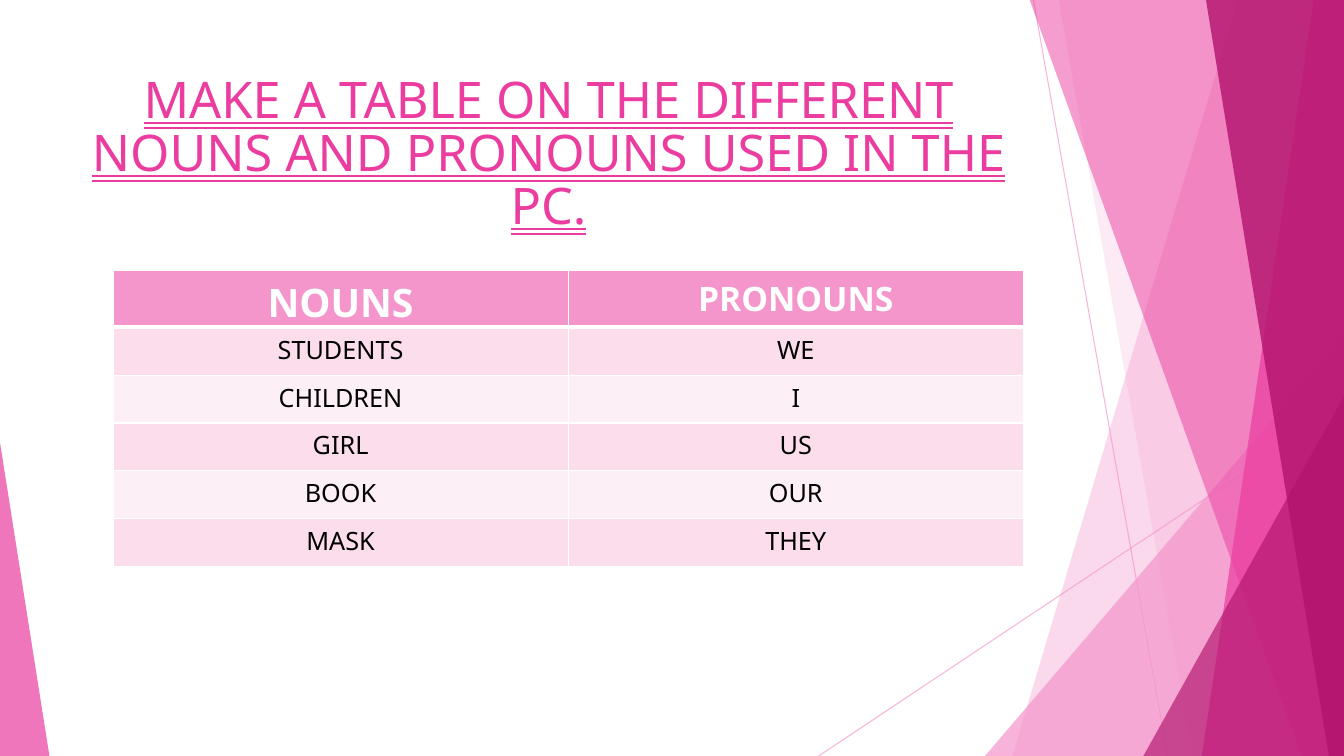
from pptx import Presentation
from pptx.dml.color import RGBColor
from pptx.enum.shapes import MSO_CONNECTOR, MSO_SHAPE
from pptx.enum.text import MSO_ANCHOR, MSO_UNDERLINE, PP_ALIGN
from pptx.oxml import parse_xml
from pptx.oxml.ns import nsdecls, qn
from pptx.util import Inches, Pt

LINE = MSO_CONNECTOR.STRAIGHT
TRIANGLE = MSO_SHAPE.ISOSCELES_TRIANGLE
TOP = MSO_ANCHOR.TOP
DOUBLE = MSO_UNDERLINE.DOUBLE_LINE
CENTER = PP_ALIGN.CENTER

WIDE, HIGH = 13.33, 7.5
FONT = "Noto Sans"
PINK, ROSE, WINE = "F496CB", "EB3D9F", "B2136D"
PALE, FAINT = "FBDDEC", "FDEFF6"
WHITE, BLACK = "FFFFFF", "000000"


def color(code):
    return RGBColor.from_string(code)


def fade(shape, alpha):
    for node in shape._element.spPr.iter(qn("a:srgbClr")):
        node.append(parse_xml(f'<a:alpha {nsdecls("a")} val="{alpha * 1000}"/>'))


class Painter:
    """Draws styled elements on one slide."""

    def __init__(self, slide, font):
        self.shapes = slide.shapes
        self.font = font

    def line(self, start, end, code, alpha):
        line = self.shapes.add_connector(LINE, *map(Inches, start + end))
        line.line.color.rgb = color(code)
        line.line.width = Pt(0.75)
        fade(line, alpha)
        line._element.spPr.append(parse_xml(f'<a:effectLst {nsdecls("a")}/>'))

    def paint(self, shape, code, alpha):
        shape.shadow.inherit = False
        shape.fill.solid()
        shape.fill.fore_color.rgb = color(code)
        shape.line.fill.background()
        fade(shape, alpha)

    def panel(self, top, base, code, alpha):
        pen = self.shapes.build_freeform(Inches(top), Inches(-0.01))
        spots = [(WIDE, -0.01), (WIDE, HIGH), (base, HIGH)]
        pen.add_line_segments([(Inches(x), Inches(y)) for x, y in spots])
        self.paint(pen.convert_to_shape(), code, alpha)

    def wedge(self, left, top, width, peak, code, alpha):
        box = map(Inches, (left, top, width, HIGH - top))
        shape = self.shapes.add_shape(TRIANGLE, *box)
        shape.adjustments[0] = peak
        self.paint(shape, code, alpha)

    def label(self, frame, text, size, code, bold=False):
        para = frame.paragraphs[0]
        para.alignment = CENTER
        run = para.add_run()
        run.text = text
        run.font.name = self.font
        run.font.size = Pt(size)
        run.font.bold = bold
        run.font.color.rgb = color(code)
        return para, run

    def title(self, box, text):
        frame = self.shapes.add_textbox(*map(Inches, box)).text_frame
        frame.word_wrap = True
        frame.vertical_anchor = TOP
        frame.margin_top = Inches(0.08)
        para, run = self.label(frame, text, 36, ROSE)
        para.line_spacing = 0.88
        run.font.underline = DOUBLE

    def edge(self, cell, widths):
        props = cell._tc.get_or_add_tcPr()
        for spot, (side, width) in enumerate(zip("LRTB", widths)):
            props.insert(spot, parse_xml(
                f'<a:ln{side} {nsdecls("a")} w="{Pt(width)}"><a:solidFill>'
                f'<a:srgbClr val="{WHITE}"/></a:solidFill></a:ln{side}>'))

    def table(self, box, rows, sizes):
        frame = self.shapes.add_table(len(rows), len(rows[0]), *map(Inches, box))
        table = frame.table
        table.horz_banding = False
        for r, row in enumerate(rows):
            head = r == 0
            shade = PINK if head else PALE if r % 2 else FAINT
            widths = (1, 1, 3 if r == 1 else 1, 3 if head else 1)
            for c, text in enumerate(row):
                cell = table.cell(r, c)
                cell.fill.solid()
                cell.fill.fore_color.rgb = color(shade)
                self.edge(cell, widths)
                size, ink = (sizes[c], WHITE) if head else (18, BLACK)
                self.label(cell.text_frame, text, size, ink, head)


deck = Presentation()
deck.slide_width, deck.slide_height = Inches(WIDE), Inches(HIGH)
art = Painter(deck.slides.add_slide(deck.slide_layouts[6]), FONT)

art.line((10.25, 0), (11.58, HIGH), PINK, 70)
art.line((WIDE, 4.03), (8.12, HIGH), PINK, 70)
art.panel(12.28, 10.04, PINK, 36)
art.panel(10.5, 11.83, PINK, 20)
art.wedge(9.77, 3.33, 3.56, 1, PINK, 72)
art.panel(10.21, 12.91, ROSE, 50)
art.panel(13.03, 11.92, ROSE, 70)
art.panel(11.96, 13.18, WINE, 80)
art.wedge(11.34, 3.93, 1.99, 1, WINE, 66)
art.wedge(0, 4.39, 0.49, 0, ROSE, 70)

art.title((0.74, 0.67, 9.4, 1.44),
          "MAKE A TABLE ON THE DIFFERENT NOUNS AND PRONOUNS USED IN THE PC.")
words = [("NOUNS", "PRONOUNS"), ("STUDENTS", "WE"), ("CHILDREN", "I"),
         ("GIRL", "US"), ("BOOK", "OUR"), ("MASK", "THEY")]
art.table((1.12, 2.68, 9.03, 2.85), words, (28, 24))

deck.save("out.pptx")
